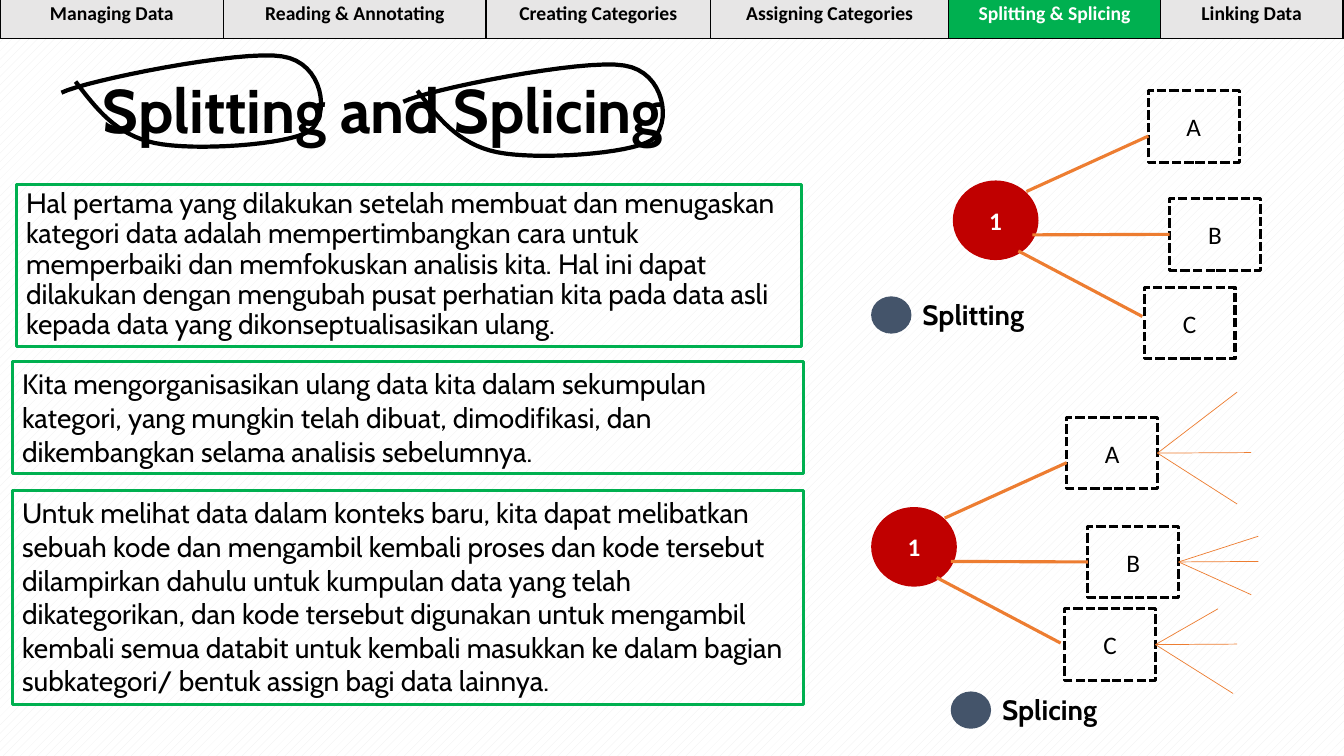
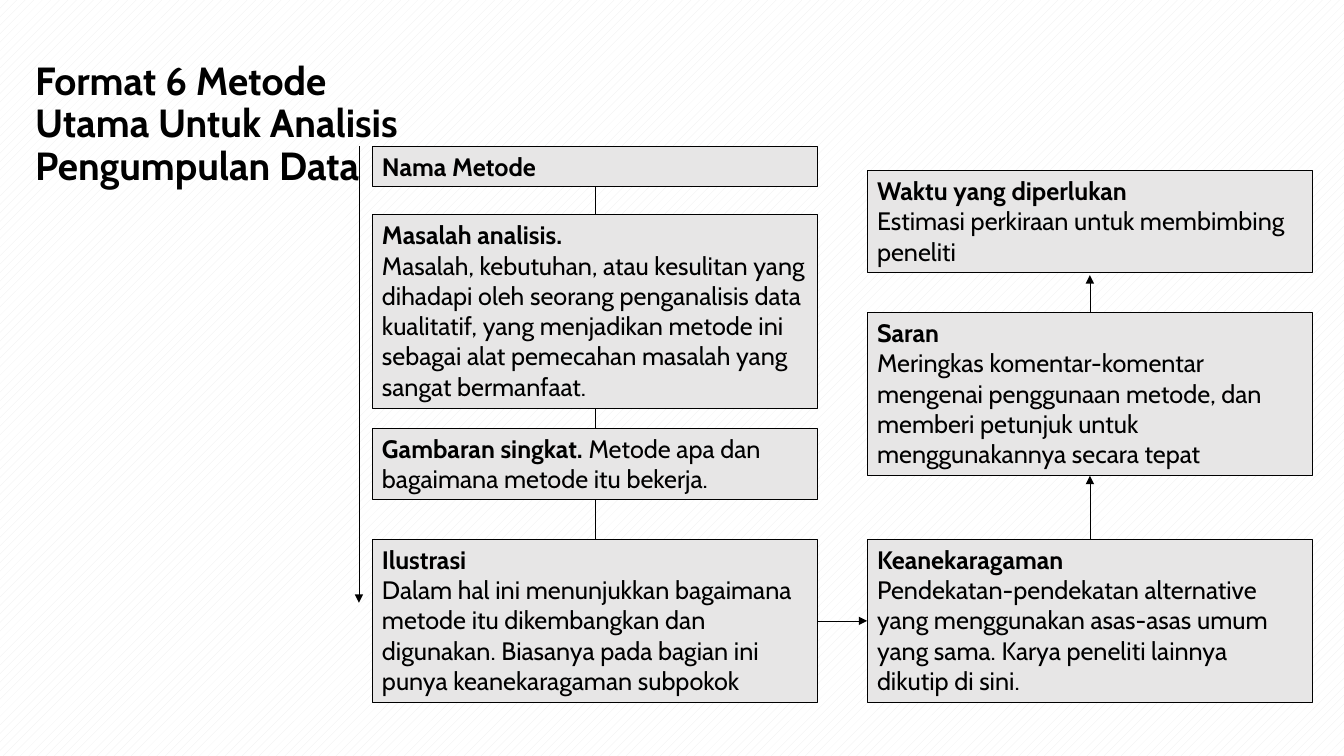
from dataclasses import dataclass
from typing import Any, NamedTuple, Optional

from lxml.etree import SubElement
from pptx import Presentation
from pptx.dml.color import RGBColor
from pptx.enum.dml import MSO_LINE, MSO_PATTERN
from pptx.enum.shapes import MSO_CONNECTOR, MSO_SHAPE as SHAPE
from pptx.enum.text import MSO_ANCHOR as ANCHOR, PP_ALIGN as ALIGN
from pptx.oxml.ns import qn
from pptx.util import Inches, Pt


# Theme
@dataclass(frozen=True)
class Theme:
    black: str = "000000"
    white: str = "FFFFFF"
    stripe: str = "EDEDED"
    grey: str = "E7E6E6"
    green: str = "00B050"
    red: str = "C00000"
    orange: str = "ED7D31"
    slate: str = "44546A"
    sans: str = "Cabin"
    label: str = "Calibri"
    title: int = 44
    subtitle: int = 28
    body: int = 20
    small: int = 18
    tab: int = 14


T = Theme()


class Box(NamedTuple):
    x: float
    y: float
    w: float
    h: float


class Point(NamedTuple):
    x: float
    y: float


class Run(NamedTuple):
    text: str
    bold: bool = False


class Joint(NamedTuple):
    shape: Any
    site: int


@dataclass(frozen=True)
class TextStyle:
    size: int
    font: str = T.sans
    color: str = T.black
    align: ALIGN = ALIGN.LEFT
    anchor: ANCHOR = ANCHOR.TOP
    spacing: float = 1.0


@dataclass(frozen=True)
class Stroke:
    color: str
    width: float
    dash: Optional[MSO_LINE] = None


@dataclass(frozen=True)
class Diagram:
    name: str
    origin: Point
    boxes: tuple[Point, ...]
    dot: Point
    fans: tuple[tuple[Point, ...], ...] = ()


TITLE = TextStyle(T.title, anchor=ANCHOR.MIDDLE, spacing=0.9)
SUBTITLE = TextStyle(T.subtitle, anchor=ANCHOR.MIDDLE, spacing=0.9)
BODY = TextStyle(T.body)
LEAD = TextStyle(T.body, spacing=0.9)
STEP = TextStyle(T.small)
NODE = TextStyle(T.small, T.label, align=ALIGN.CENTER, anchor=ANCHOR.MIDDLE)
HUB = TextStyle(T.small, T.label, T.white, ALIGN.CENTER, ANCHOR.MIDDLE)

GREEN_FRAME = Stroke(T.green, 2.25)
DASHED = Stroke(T.black, 2.25, MSO_LINE.SQUARE_DOT)
BRANCH = Stroke(T.orange, 2.25)
FAN = Stroke(T.orange, 0.5)
LOOP = Stroke(T.black, 3)
STEP_FRAME = Stroke(T.black, 0.75)
FLOW = Stroke(T.black, 0.5)


# Drawing helpers
def apply(target: Any, values: dict[str, Any]) -> None:
    for name, value in values.items():
        setattr(target, name, value)


def rgb(color: str) -> RGBColor:
    return RGBColor.from_string(color)


def write(tf: Any, paragraphs: list[list[Run]], style: TextStyle) -> None:
    apply(tf, {"word_wrap": True, "vertical_anchor": style.anchor})
    for i, runs in enumerate(paragraphs):
        p = tf.add_paragraph() if i else tf.paragraphs[0]
        apply(p, {"alignment": style.align, "line_spacing": style.spacing})
        for run in runs:
            r = p.add_run()
            r.text = run.text
            apply(r.font, {"name": style.font, "size": Pt(style.size), "bold": run.bold})
            r.font.color.rgb = rgb(style.color)


def set_stroke(line: Any, stroke: Stroke) -> None:
    line.color.rgb = rgb(stroke.color)
    line.width = Pt(stroke.width)
    if stroke.dash:
        line.dash_style = stroke.dash


def finish(sp: Any, fill: Optional[str], stroke: Optional[Stroke]) -> None:
    sp.shadow.inherit = False
    if fill:
        sp.fill.solid()
        sp.fill.fore_color.rgb = rgb(fill)
    else:
        sp.fill.background()
    if stroke:
        set_stroke(sp.line, stroke)
    else:
        sp.line.fill.background()


def add_shape(s: Any, box: Box, kind: SHAPE = SHAPE.RECTANGLE, fill: Optional[str] = None,
              stroke: Optional[Stroke] = None) -> Any:
    sp = s.shapes.add_shape(kind, *map(Inches, box))
    finish(sp, fill, stroke)
    return sp


def add_text(s: Any, box: Box, text: str, style: TextStyle) -> None:
    tb = s.shapes.add_textbox(*map(Inches, box))
    write(tb.text_frame, [[Run(text, True)]], style)


def add_line(s: Any, start: Point, end: Point, stroke: Stroke, begin_at: Optional[Joint] = None,
             end_at: Optional[Joint] = None, arrow: bool = False) -> None:
    c = s.shapes.add_connector(MSO_CONNECTOR.STRAIGHT, *map(Inches, (*start, *end)))
    if begin_at:
        c.begin_connect(*begin_at)
    if end_at:
        c.end_connect(*end_at)
    set_stroke(c.line, stroke)
    spPr = c._element.spPr
    if arrow:
        SubElement(spPr.get_or_add_ln(), qn("a:tailEnd"), type="triangle")
    SubElement(spPr, qn("a:effectLst"))


def new_slide(prs: Any) -> Any:
    s = prs.slides.add_slide(prs.slide_layouts[6])
    fill = s.background.fill
    fill.patterned()
    fill.pattern = MSO_PATTERN.DASHED_UPWARD_DIAGONAL
    fill.fore_color.rgb = rgb(T.stripe)
    fill.back_color.rgb = rgb(T.white)
    return s


# Splitting and splicing
TABS = {"Managing Data": 2.22, "Reading & Annotating": 2.6, "Creating Categories": 2.23,
        "Assigning Categories": 2.36, "Splitting & Splicing": 2.1, "Linking Data": 1.81}
ACTIVE_TAB = "Splitting & Splicing"

PANELS = (
    (Box(0.16, 1.83, 7.79, 1.61), LEAD, "Hal pertama yang dilakukan setelah membuat dan menugaskan kategori data adalah mempertimbangkan cara untuk memperbaiki dan memfokuskan analisis kita. Hal ini dapat dilakukan dengan mengubah pusat perhatian kita pada data asli kepada data yang dikonseptualisasikan ulang."),
    (Box(0.12, 3.59, 7.85, 1.11), BODY, "Kita mengorganisasikan ulang data kita dalam sekumpulan kategori, yang mungkin telah dibuat, dimodifikasi, dan dikembangkan selama analisis sebelumnya."),
    (Box(0.12, 4.87, 7.85, 2.12), BODY, "Untuk melihat data dalam konteks baru, kita dapat melibatkan sebuah kode dan mengambil kembali proses dan kode tersebut dilampirkan dahulu untuk kumpulan data yang telah dikategorikan, dan kode tersebut digunakan untuk mengambil kembali semua databit untuk kembali masukkan ke dalam bagian subkategori/ bentuk assign bagi data lainnya."),
)

# Branch ends are relative to the top left corner of the hub
BRANCHES = ((Point(0.73, 0.11), Point(1.94, -0.44)),
            (Point(0.79, 0.54), Point(2.15, 0.54)),
            (Point(0.65, 0.7), Point(1.88, 1.35)))
DIAGRAMS = (
    Diagram("Splitting", Point(9.45, 1.79),
            (Point(11.39, 0.9), Point(11.6, 1.97), Point(11.35, 2.85)), Point(8.64, 2.94)),
    Diagram("Splicing", Point(8.64, 5.03),
            (Point(10.58, 4.14), Point(10.79, 5.22), Point(10.56, 6.04)), Point(9.43, 6.86),
            ((Point(12.27, 3.89), Point(12.41, 4.49), Point(12.27, 5)),
             (Point(12.48, 5.32), Point(12.48, 5.57), Point(12.41, 5.9)),
             (Point(12.08, 6.04), Point(12.27, 6.39), Point(12.23, 6.88)))),
)

# Hand-drawn loop: a start point, then cubic segments (two handles and an end)
LOOP_START = Point(0.75, 0.81)
LOOP_CURVES = (
    (Point(0.95, 1.07), Point(1.15, 1.34), Point(1.54, 1.42)),
    (Point(1.92, 1.5), Point(2.86, 1.44), Point(3.07, 1.3)),
    (Point(3.28, 1.15), Point(3.21, 0.62), Point(2.8, 0.56)),
    (Point(2.39, 0.49), Point(0.85, 0.8), Point(0.61, 0.92)),
)
LOOP_SHIFTS = (Point(0, 0), Point(3.39, 0.09))


def add_loop(s: Any, shift: Point, steps: int = 16) -> None:
    points, a = [LOOP_START], LOOP_START
    for b, c, d in LOOP_CURVES:
        for t in (i / steps for i in range(1, steps + 1)):
            weights = ((1 - t) ** 3, 3 * t * (1 - t) ** 2, 3 * t * t * (1 - t), t ** 3)
            points.append(Point(*(sum(k * v for k, v in zip(weights, axis))
                                  for axis in zip(a, b, c, d))))
        a = d
    start, *rest = [(Inches(p.x + shift.x), Inches(p.y + shift.y)) for p in points]
    fb = s.shapes.build_freeform(*start)
    fb.add_line_segments(rest, close=False)
    finish(fb.convert_to_shape(), None, LOOP)


def add_diagram(s: Any, d: Diagram) -> None:
    hub = add_shape(s, Box(*d.origin, 0.85, 0.79), SHAPE.OVAL, T.red)
    write(hub.text_frame, [[Run("1", True)]], HUB)
    for i, (corner, ends) in enumerate(zip(d.boxes, BRANCHES)):
        node = add_shape(s, Box(*corner, 0.9, 0.71), stroke=DASHED)
        write(node.text_frame, [[Run("ABC"[i])]], NODE)
        start, end = (Point(d.origin.x + p.x, d.origin.y + p.y) for p in ends)
        # Only the level branch meets the middle of its box
        add_line(s, start, end, BRANCH, end_at=Joint(node, 1) if i == 1 else None)
        for tip in d.fans[i] if d.fans else ():
            add_line(s, corner, tip, FAN, begin_at=Joint(node, 3))
    add_shape(s, Box(*d.dot, 0.4, 0.37), SHAPE.OVAL, T.slate)
    add_text(s, Box(d.dot.x + 0.41, d.dot.y - 0.04, 2.51, 0.44), d.name, BODY)


def add_tabs(s: Any) -> None:
    box = Box(0, -0.03, 13.33, 0.41)
    table = s.shapes.add_table(1, len(TABS), *map(Inches, box)).table
    apply(table, {"first_row": False, "horz_banding": False})
    for i, (name, width) in enumerate(TABS.items()):
        table.columns[i].width = Inches(width)
        cell, active = table.cell(0, i), name == ACTIVE_TAB
        color = T.white if active else T.black
        write(cell.text_frame, [[Run(name, True)]],
              TextStyle(T.tab, T.label, color, ALIGN.CENTER))
        tcPr = cell._tc.get_or_add_tcPr()
        for side in ("lnL", "lnR", "lnT", "lnB"):
            ln = SubElement(tcPr, qn(f"a:{side}"), w=str(Pt(1)))
            SubElement(SubElement(ln, qn("a:solidFill")), qn("a:srgbClr"), val=T.black)
        cell.fill.solid()
        cell.fill.fore_color.rgb = rgb(T.green if active else T.grey)


def splitting_slide(prs: Any) -> None:
    s = new_slide(prs)
    add_text(s, Box(0.92, 0.4, 11.5, 1.45), "Splitting and Splicing", TITLE)
    for box, style, text in PANELS:
        write(add_shape(s, box, stroke=GREEN_FRAME).text_frame, [[Run(text)]], style)
    for shift in LOOP_SHIFTS:
        add_loop(s, shift)
    for d in DIAGRAMS:
        add_diagram(s, d)
    add_tabs(s)


# Six-part method format
LEFT, RIGHT, STEP_W = 3.69, 8.6, 4.42
STEPS = (
    (LEFT, 1.45, 0.4, [[Run("Nama Metode", True)]]),
    (LEFT, 2.13, 1.92, [[Run("Masalah analisis.", True)], [Run("Masalah, kebutuhan, atau kesulitan yang dihadapi oleh seorang penganalisis data kualitatif, yang menjadikan metode ini sebagai alat pemecahan masalah yang sangat bermanfaat.")]]),
    (LEFT, 4.25, 0.71, [[Run("Gambaran singkat. ", True), Run("Metode apa dan bagaimana metode itu bekerja.")]]),
    (LEFT, 5.35, 1.62, [[Run("Ilustrasi", True)], [Run("Dalam hal ini menunjukkan bagaimana metode itu dikembangkan dan digunakan. Biasanya pada bagian ini punya keanekaragaman subpokok")]]),
    (RIGHT, 5.35, 1.62, [[Run("Keanekaragaman", True)], [Run("Pendekatan-pendekatan alternative yang menggunakan asas-asas umum yang sama. Karya peneliti lainnya dikutip di sini.")]]),
    (RIGHT, 3.1, 1.62, [[Run("Saran", True)], [Run("Meringkas komentar-komentar mengenai penggunaan metode, dan memberi petunjuk untuk menggunakannya secara tepat")]]),
    (RIGHT, 1.69, 1.01, [[Run("Waktu yang diperlukan", True)], [Run("Estimasi perkiraan untuk membimbing peneliti")]]),
)
# Sides left and entered between one step and the next, and whether an arrow shows
LINKS = ((2, 0, False),) * 3 + ((3, 1, True), (0, 2, True))


def format_slide(prs: Any) -> None:
    s = new_slide(prs)
    add_text(s, Box(0.25, 0.29, 4.17, 1.9),
             "Format 6 Metode Utama Untuk Analisis Pengumpulan Data", SUBTITLE)
    add_line(s, Point(3.56, 1.45), Point(3.56, 5.98), FLOW, arrow=True)
    steps = []
    for x, y, h, text in STEPS:
        sp = add_shape(s, Box(x, y, STEP_W, h), fill=T.grey, stroke=STEP_FRAME)
        write(sp.text_frame, text, STEP)
        steps.append(sp)
    for a, b, (out, into, arrow) in zip(steps, steps[1:], LINKS):
        add_line(s, Point(0, 0), Point(1, 1), FLOW, Joint(a, out), Joint(b, into), arrow)
    # The last arrow stops just short of its box
    middle = RIGHT + STEP_W / 2
    add_line(s, Point(middle, 3.1), Point(middle, 2.73), FLOW, Joint(steps[5], 0), arrow=True)


def main() -> None:
    prs = Presentation()
    apply(prs, {"slide_width": Inches(13.33), "slide_height": Inches(7.5)})
    splitting_slide(prs)
    format_slide(prs)
    prs.save("out.pptx")


if __name__ == "__main__":
    main()
